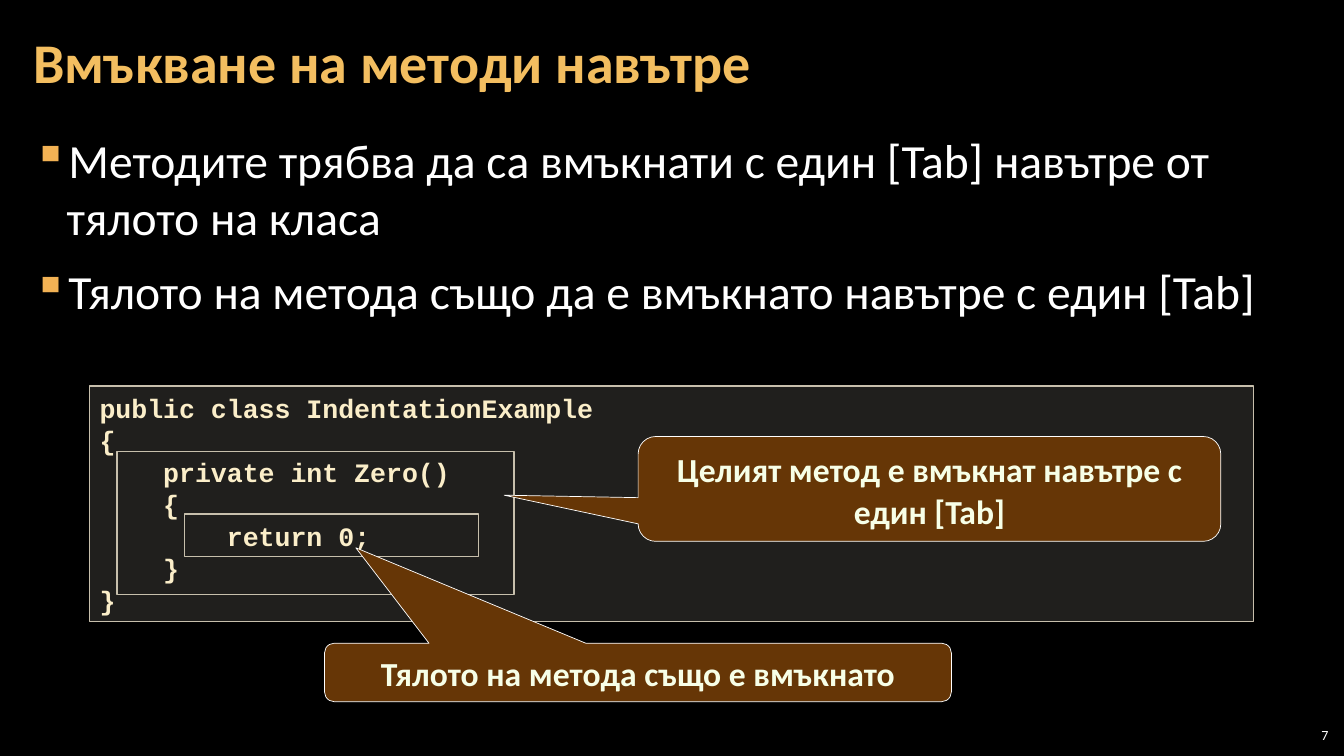
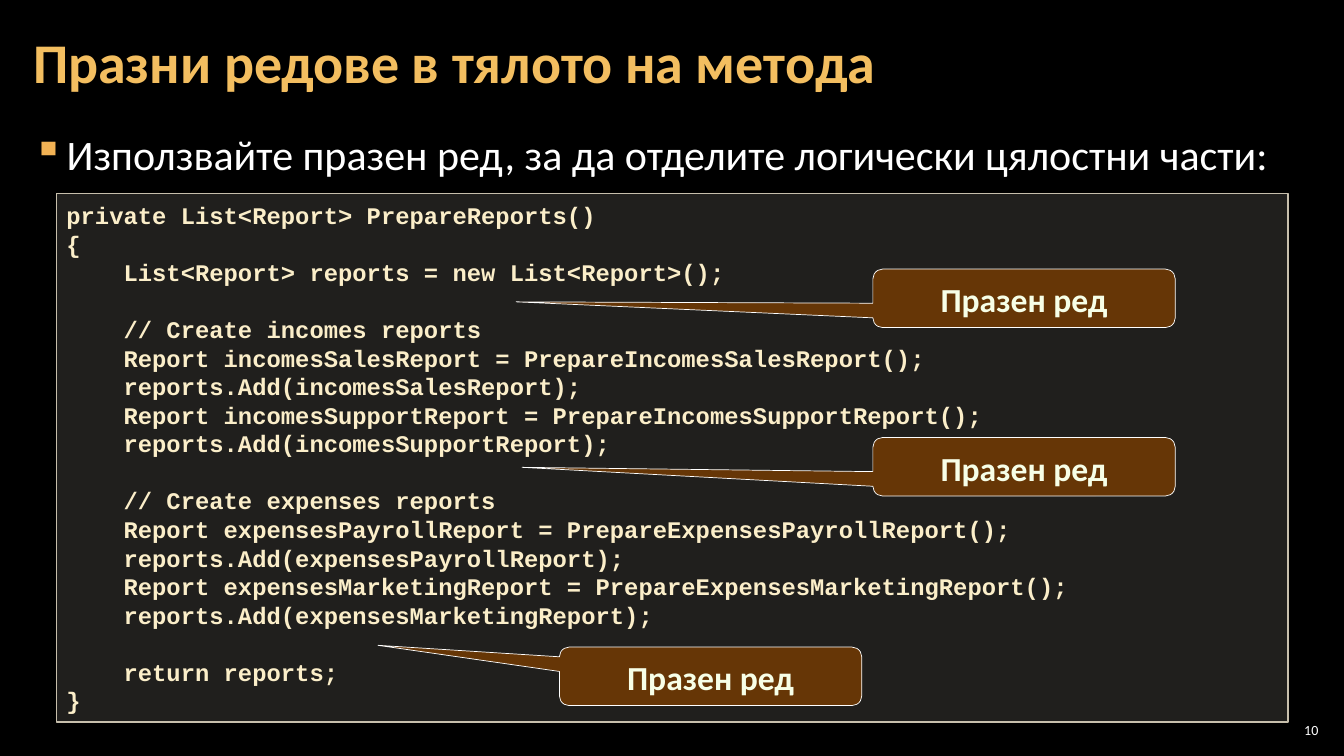
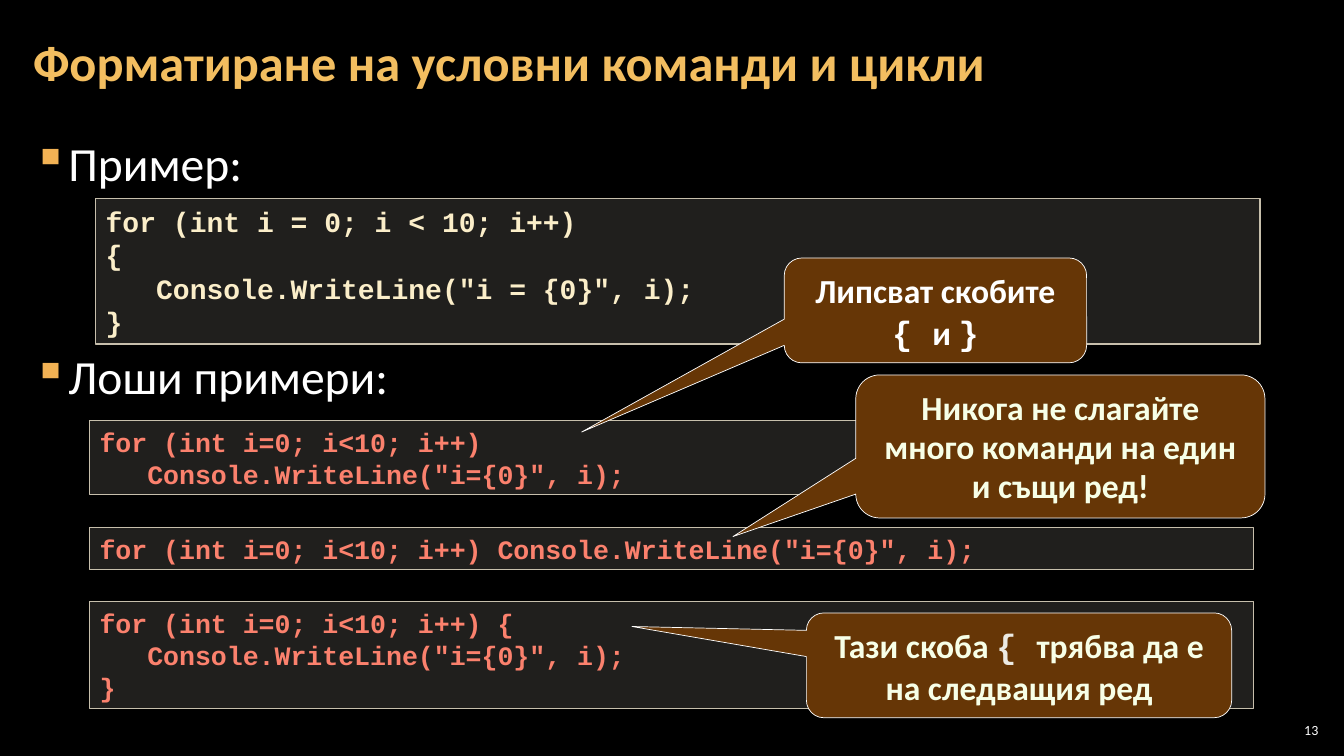
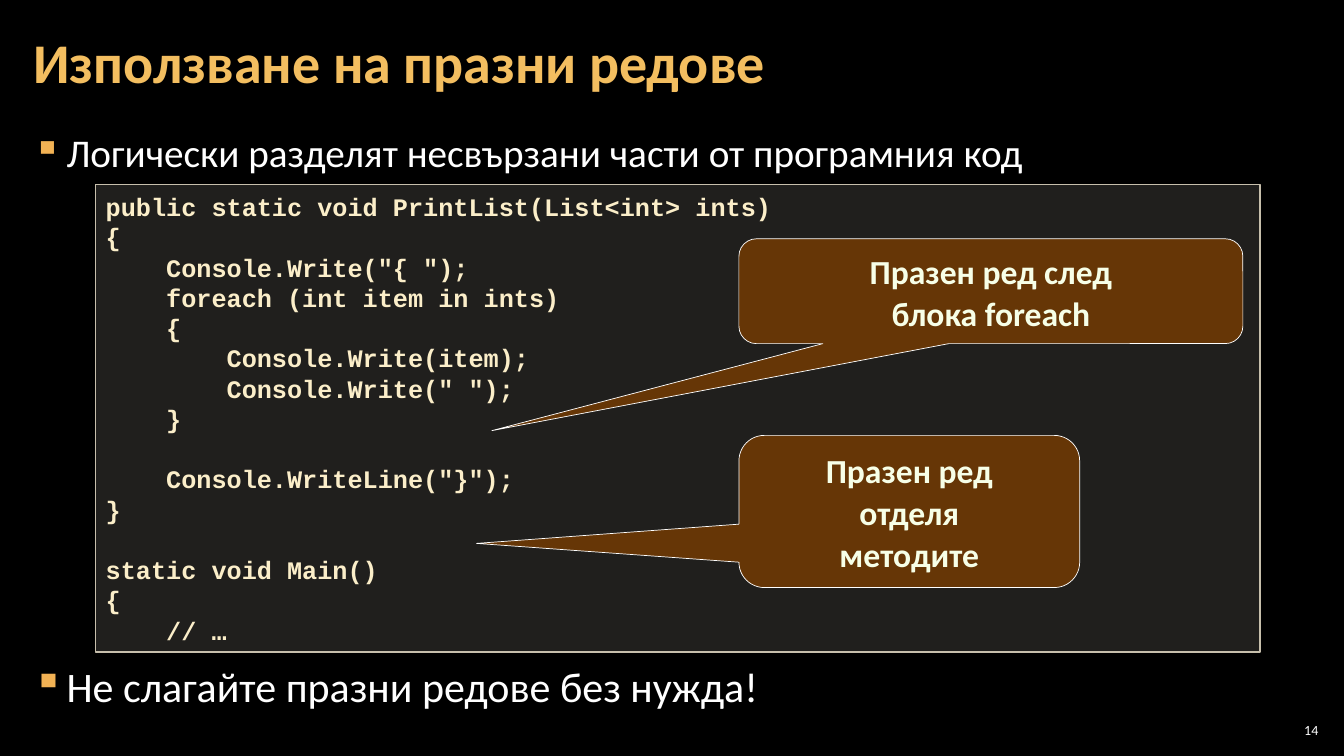
import pptx
import pptx.dml.color
import pptx.enum.shapes
import pptx.enum.text
import pptx.oxml
import pptx.oxml.ns
import pptx.util
from pptx.util import Pt

RGBColor = pptx.dml.color.RGBColor
Shape = pptx.enum.shapes.MSO_SHAPE
Align = pptx.enum.text.PP_ALIGN
Anchor = pptx.enum.text.MSO_ANCHOR

BLACK = RGBColor(0x00, 0x00, 0x00)
WHITE = RGBColor(0xFF, 0xFF, 0xFF)
GOLD = RGBColor(0xF3, 0xBE, 0x60)
BULLET_GOLD = RGBColor(0xF2, 0xB2, 0x54)
PANEL = RGBColor(0xD9, 0xD5, 0xC7)
PANEL_EDGE = RGBColor(0xC7, 0xBF, 0xAC)
CREAM = RGBColor(0xFB, 0xEE, 0xC9)
BAD_RED = RGBColor(0xFB, 0x81, 0x6D)
BROWN = RGBColor(0x66, 0x36, 0x06)
PALE = RGBColor(0xF7, 0xFF, 0xE7)
BRACE_GREY = RGBColor(0xEC, 0xEA, 0xE3)

SANS = "Calibri"
MONO = "Courier New"

TITLE_AT = (15, 3, 754, 87)
BODY_AT = (15, 90.7, 930, 438.5)
NUMBER_AT = (910.8, 514, 33.8, 15.2)
CODE_WIDTH = 831.6
CODE_PITCH = 1.2
CODE_ROW = 1.21
CALLOUT_ROUNDING = 0.167
CALLOUT_SIZE = 24

# bullets: (text, size, line spacing, space before)
# codes: (left, top, width, size, colour, source text)
# callouts: (at, pointer offset, line pitch, runs as (text, font, colour))
SLIDES = [
    {
        "title": ("Вмъкване на методи навътре", 40),
        "number": "7",
        "number_at": (903.6, 516.2, 48.2, 18),
        "bullets": [
            ("Методите трябва да са вмъкнати с един [Tab] навътре от тялото на класа", 34, None, 0),
            ("Тялото на метода също да е вмъкнато навътре с един [Tab]", 34, None, 6),
        ],
        "codes": [(64, 275.8, CODE_WIDTH, 19, CREAM, """\
public class IndentationExample
{
    private int Zero()
    {
        return 0;
    }
}""")],
        "outlines": [(83.5, 322.6, 283.7, 102.2), (131.8, 367.2, 210.2, 30.2)],
        "callouts": [
            ((455.8, 311.8, 416.2, 74.9), (-0.73, 0.06), 30,
             [("Целият метод е вмъкнат навътре с един [Tab]", SANS, PALE)]),
            ((231.8, 459.4, 447.8, 41.8), (-0.45, -2.13), 30,
             [("Тялото на метода също е вмъкнато", SANS, PALE)]),
        ],
    },
    {
        "title": ("Празни редове в тялото на метода", 40),
        "number": "10",
        "bullets": [
            ("Използвайте празен ред, за да отделите логически цялостни части:", 30, Pt(34), 0),
        ],
        "codes": [(40.3, 138.2, 879.8, 17, CREAM, """\
private List<Report> PrepareReports()
{
    List<Report> reports = new List<Report>();

    // Create incomes reports
    Report incomesSalesReport = PrepareIncomesSalesReport();
    reports.Add(incomesSalesReport);
    Report incomesSupportReport = PrepareIncomesSupportReport();
    reports.Add(incomesSupportReport);

    // Create expenses reports
    Report expensesPayrollReport = PrepareExpensesPayrollReport();
    reports.Add(expensesPayrollReport);
    Report expensesMarketingReport = PrepareExpensesMarketingReport();
    reports.Add(expensesMarketingReport);

    return reports;
}""")],
        "callouts": [
            ((left, top, 216, 41.8), pointer, 30, [("Празен ред", SANS, PALE)])
            for left, top, pointer in [
                (623.5, 192.2, (-1.68, 0.06)),
                (623.5, 312.5, (-1.66, 0.01)),
                (399.6, 462.2, (-1.1, -0.53)),
            ]
        ],
    },
    {
        "title": ("Форматиране на условни команди и цикли", 36),
        "number": "13",
        "bullets": [
            ("Пример:", 34, 1.05, 0),
            ("Лоши примери:", 34, 1.05, 103.6),
        ],
        "codes": [
            (68.4, 141.8, CODE_WIDTH, 20, CREAM, """\
for (int i = 0; i < 10; i++)
{
   Console.WriteLine("i = {0}", i);
}"""),
            (64, 300.2, CODE_WIDTH, 19, BAD_RED, """\
for (int i=0; i<10; i++)
   Console.WriteLine("i={0}", i);"""),
            (64, 376.6, CODE_WIDTH, 19, BAD_RED, """\
for (int i=0; i<10; i++) Console.WriteLine("i={0}", i);"""),
            (64, 429.8, CODE_WIDTH, 19, BAD_RED, """\
for (int i=0; i<10; i++) {
   Console.WriteLine("i={0}", i);
}"""),
        ],
        "callouts": [
            ((560.2, 184.3, 216, 74.9), (-1.17, 1.16), 30,
             [("Липсват скобите\n", SANS, WHITE), ("{ ", MONO, WHITE),
              ("и ", SANS, WHITE), ("}", MONO, WHITE)]),
            ((611.3, 267.8, 292.3, 102.2), (-0.8, 0.63), 28,
             [("Никога не слагайте много команди на един и същи ред!", SANS, PALE)]),
            ((576, 437.8, 303.8, 74.9), (-0.91, -0.37), 30,
             [("Тази скоба ", SANS, PALE), ("{ ", MONO, BRACE_GREY),
              ("трябва да е на следващия ред", SANS, PALE)]),
        ],
    },
    {
        "title": ("Използване на празни редове", 40),
        "number": "14",
        "bullets": [
            ("Логически разделят несвързани части от програмния код", 28, Pt(32), 0),
            ("Не слагайте празни редове без нужда!", 30, Pt(32), 344),
        ],
        "codes": [(68.4, 131.8, CODE_WIDTH, 18, CREAM, """\
public static void PrintList(List<int> ints)
{
    Console.Write("{ ");
    foreach (int item in ints)
    {
        Console.Write(item);
        Console.Write(" ");
    }

    Console.WriteLine("}");
}

static void Main()
{
    // …""")],
        "callouts": [
            ((527.8, 311, 243.4, 108.7), (-1.27, 0.21), 30,
             [("Празен ред\nотделя\nметодите", SANS, PALE)]),
            ((527.8, 170.6, 360, 74.9), (-0.99, 1.33), 30,
             [("Празен ред след\nблока foreach", SANS, PALE)]),
        ],
    },
]


def points(lengths):
    return [Pt(length) for length in lengths]


def add_xml(parent, tag, **attributes):
    child = pptx.oxml.parse_xml(f"<{tag} {pptx.oxml.ns.nsdecls('a')}/>")
    for name, value in attributes.items():
        child.set(name, str(value))
    parent.append(child)
    return child


def add_run(para, text, size, color, font=SANS, bold=False):
    """Add text to a paragraph, turning each newline into a line break."""
    for index, part in enumerate(text.split("\n")):
        if index:
            para.add_line_break()
        if part:
            span = para.add_run()
            span.text = part
            span.font.size = Pt(size)
            span.font.name = font
            span.font.bold = bold
            span.font.color.rgb = color


def add_text_box(slide, at, side_inset, anchor):
    frame = slide.shapes.add_textbox(*points(at)).text_frame
    frame.word_wrap = True
    frame.vertical_anchor = anchor
    frame.margin_left = frame.margin_right = Pt(side_inset)
    frame.margin_top = frame.margin_bottom = Pt(2.9)
    return frame


def next_paragraph(frame, index):
    return frame.add_paragraph() if index else frame.paragraphs[0]


def add_title(slide, text, size):
    para = add_text_box(slide, TITLE_AT, 8.6, Anchor.MIDDLE).paragraphs[0]
    para.line_spacing = 0.9
    add_run(para, text, size, GOLD, bold=True)


def add_number(slide, number, at):
    para = add_text_box(slide, at, 2.9, Anchor.MIDDLE).paragraphs[0]
    para.alignment = Align.RIGHT
    add_run(para, number, 10, WHITE)


def add_bullets(slide, bullets):
    frame = add_text_box(slide, BODY_AT, 8.6, Anchor.TOP)
    for index, (text, size, spacing, before) in enumerate(bullets):
        para = next_paragraph(frame, index)
        para.line_spacing = spacing
        para.space_before = Pt(before)
        para.space_after = Pt(6)
        properties = para._p.get_or_add_pPr()
        properties.set("marL", str(Pt(24)))
        properties.set("indent", str(-Pt(24)))
        add_xml(add_xml(properties, "a:buClr"), "a:srgbClr", val=BULLET_GOLD)
        add_xml(properties, "a:buChar", char="▪")
        add_run(para, text, size, WHITE)


def add_panel(slide, kind, at, edge, weight):
    panel = slide.shapes.add_shape(kind, *points(at))
    panel.shadow.inherit = False
    panel.fill.background()
    panel.line.color.rgb = edge
    panel.line.width = Pt(weight)
    panel.text_frame.word_wrap = True
    panel.text_frame.vertical_anchor = Anchor.MIDDLE
    return panel


def add_outline(slide, at):
    add_panel(slide, Shape.RECTANGLE, at, PANEL_EDGE, 1)


def add_code(slide, left, top, width, size, color, source):
    """Draw a translucent panel whose height follows its number of code lines."""
    lines = source.split("\n")
    height = len(lines) * size * CODE_ROW + 7.2
    panel = add_panel(slide, Shape.RECTANGLE, (left, top, width, height), PANEL_EDGE, 1)
    panel.fill.solid()
    panel.fill.fore_color.rgb = PANEL
    fill_color = panel._element.spPr.find(
        f"{pptx.oxml.ns.qn('a:solidFill')}/{pptx.oxml.ns.qn('a:srgbClr')}")
    add_xml(fill_color, "a:alpha", val=15000)
    for index, line in enumerate(lines):
        para = next_paragraph(panel.text_frame, index)
        para.alignment = Align.LEFT
        para.line_spacing = Pt(size * CODE_PITCH)
        if line:
            add_run(para, line, size, color, MONO, True)
        else:
            add_xml(para._p, "a:endParaRPr", sz=size * 100)


def add_callout(slide, at, pointer, pitch, runs):
    callout = add_panel(slide, Shape.ROUNDED_RECTANGULAR_CALLOUT, at, WHITE, 0.5)
    callout.fill.solid()
    callout.fill.fore_color.rgb = BROWN
    for index, value in enumerate((*pointer, CALLOUT_ROUNDING)):
        callout.adjustments[index] = value
    para = callout.text_frame.paragraphs[0]
    para.alignment = Align.CENTER
    para.line_spacing = Pt(pitch)
    for text, font, color in runs:
        add_run(para, text, CALLOUT_SIZE, color, font, True)


def main():
    deck = pptx.Presentation()
    deck.slide_width, deck.slide_height = Pt(960), Pt(540)
    background = deck.slide_master.background.fill
    background.solid()
    background.fore_color.rgb = BLACK
    for content in SLIDES:
        slide = deck.slides.add_slide(deck.slide_layouts[6])
        add_title(slide, *content["title"])
        add_bullets(slide, content["bullets"])
        add_number(slide, content["number"], content.get("number_at", NUMBER_AT))
        for code in content["codes"]:
            add_code(slide, *code)
        for outline in content.get("outlines", []):
            add_outline(slide, outline)
        for callout in content["callouts"]:
            add_callout(slide, *callout)
    deck.save("out.pptx")


if __name__ == "__main__":
    main()
